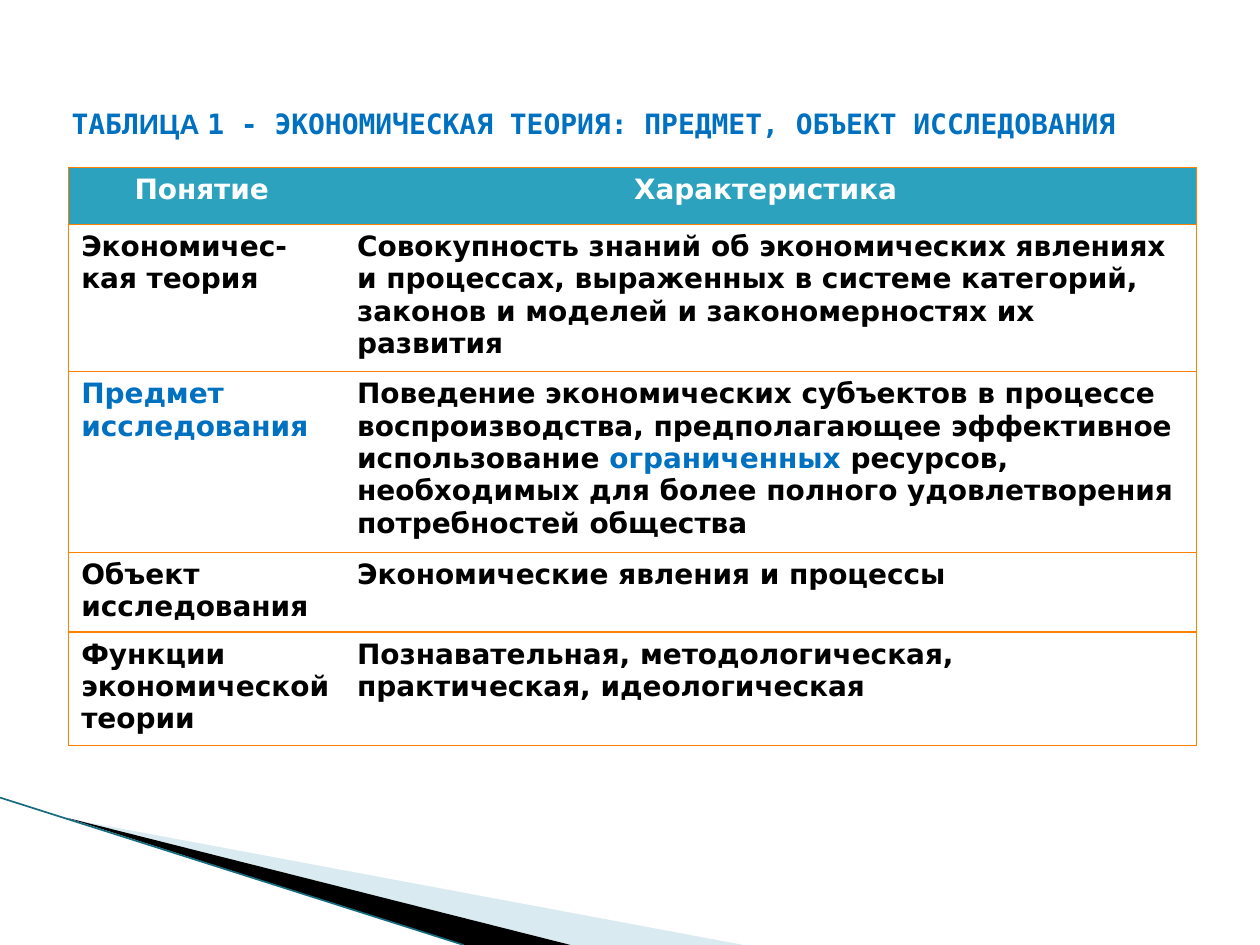
from lxml import etree
from pptx import Presentation
from pptx import util as u
from pptx.dml.color import RGBColor
from pptx.enum import shapes, text
from pptx.oxml import ns

COLORS = {
    "white": "FFFFFF", "black": "000000", "blue": "0070C0", "teal": "2DA2BF",
    "orange": "FF8000", "pale": "A0CBDC", "edge": "176B7E",
}
HEADINGS = ("Понятие ", "Характеристика ")
# Each cell is a list of (text, color) runs.
ROWS = [
    ([("Экономичес-кая теория", "black")],
     [("Совокупность знаний об экономических явлениях и процессах, выраженных "
       "в системе категорий, законов и моделей и закономерностях их развития", "black")]),
    ([("Предмет исследования", "blue")],
     [("Поведение экономических субъектов в процессе воспроизводства, "
       "предполагающее эффективное использование ", "black"),
      ("ограниченных ", "blue"),
      ("ресурсов, необходимых для более полного удовлетворения "
       "потребностей общества", "black")]),
    ([("Объект исследования", "black")],
     [("Экономические явления и процессы", "black")]),
    ([("Функции экономической теории", "black")],
     [("Познавательная, методологическая, практическая, идеологическая", "black")]),
]
COLUMN_WIDTHS = (2.19, 6.76)
ROW_HEIGHTS = (0.45, 1.17, 1.43, 0.63, 0.9)


def rgb(name):
    return RGBColor.from_string(COLORS[name])


def add_run(paragraph, content, *, color, font="DejaVu Sans", size=16, bold=True):
    run = paragraph.add_run()
    run.text = content
    run.font.name = font
    run.font.size = u.Pt(size)
    run.font.bold = bold
    run.font.color.rgb = rgb(color)


def set_border(cell, side, color=None, width=0.75):
    """Draw one cell side (L, R, T or B), or clear it when no color is given."""
    properties = cell._tc.get_or_add_tcPr()
    line = etree.SubElement(properties, ns.qn(f"a:ln{side}"), w=str(u.Pt(width)))
    if color is None:
        etree.SubElement(line, ns.qn("a:noFill"))
    else:
        fill = etree.SubElement(line, ns.qn("a:solidFill"))
        etree.SubElement(fill, ns.qn("a:srgbClr"), val=COLORS[color])


class SlideBuilder:
    def __init__(self, slide):
        self.slide = slide
        self.font = "DejaVu Sans"
        self.title_font = "DejaVu Sans Mono"

    def wedge(self, points, color, opacity=100):
        start, *others = [(u.Inches(x), u.Inches(y)) for x, y in points]
        builder = self.slide.shapes.build_freeform(*start)
        builder.add_line_segments(others, close=True)
        shape = builder.convert_to_shape()
        shape.shadow.inherit = False
        shape.fill.solid()
        shape.fill.fore_color.rgb = rgb(color)
        shape.line.fill.background()
        if opacity < 100:
            value = shape._element.spPr.find(".//" + ns.qn("a:srgbClr"))
            etree.SubElement(value, ns.qn("a:alpha"), val=str(opacity * 1000))

    def line(self, start, end, color, width):
        connector = self.slide.shapes.add_connector(
            shapes.MSO_CONNECTOR.STRAIGHT, *map(u.Inches, start + end))
        connector.line.color.rgb = rgb(color)
        connector.line.width = u.Pt(width)
        etree.SubElement(connector._element.spPr, ns.qn("a:effectLst"))

    def title(self, runs, left, top, width, height):
        box = self.slide.shapes.add_textbox(*map(u.Inches, (left, top, width, height)))
        frame = box.text_frame
        frame.word_wrap = True
        frame.vertical_anchor = text.MSO_ANCHOR.MIDDLE
        for content, font in runs:
            add_run(frame.paragraphs[0], content, color="blue", font=font)

    def cell(self, cell, runs, column, heading=False):
        paragraph = cell.text_frame.paragraphs[0]
        if heading:
            paragraph.alignment = text.PP_ALIGN.CENTER
        for content, color in runs:
            add_run(paragraph, content, color=color, font=self.font)
        set_border(cell, "L", "orange" if column == 0 else None)
        set_border(cell, "R", "orange" if column == len(COLUMN_WIDTHS) - 1 else None)
        set_border(cell, "T", "orange")
        set_border(cell, "B", "orange")
        if heading:
            cell.fill.solid()
            cell.fill.fore_color.rgb = rgb("teal")
        else:
            cell.fill.background()

    def table(self, left, top):
        rows = [[[(heading, "white")] for heading in HEADINGS], *ROWS]
        frame = self.slide.shapes.add_table(
            len(rows), len(HEADINGS), u.Inches(left), u.Inches(top),
            u.Inches(sum(COLUMN_WIDTHS)), u.Inches(sum(ROW_HEIGHTS)))
        table = frame.table
        table.horz_banding = False
        for column, width in zip(table.columns, COLUMN_WIDTHS):
            column.width = u.Inches(width)
        for row, height in zip(table.rows, ROW_HEIGHTS):
            row.height = u.Inches(height)
        for row_index, row in enumerate(rows):
            for column, runs in enumerate(row):
                self.cell(table.cell(row_index, column), runs, column,
                          heading=row_index == 0)


def main():
    presentation = Presentation()
    presentation.slide_width = u.Inches(10)
    presentation.slide_height = u.Inches(7.5)
    builder = SlideBuilder(presentation.slides.add_slide(presentation.slide_layouts[6]))

    builder.wedge([(0.55, 6.5), (5.9, 7.5), (4.53, 7.5)], "pale", opacity=40)
    builder.wedge([(0.53, 6.49), (4.53, 7.5), (3.68, 7.5)], "black")
    builder.line((0, 6.33), (3.68, 7.5), "edge", 0.95)
    mono = builder.title_font
    builder.title([
        ("ТАБЛ", mono),
        ("ИЦА ", "Arial"),
        ("1 - ЭКОНОМИЧЕСКАЯ ТЕОРИЯ: ПРЕДМЕТ, ОБЪЕКТ ИССЛЕДОВАНИЯ", mono),
    ], 0.47, 0.7, 8.95, 0.55)
    builder.table(0.545, 1.33)
    presentation.save("out.pptx")


if __name__ == "__main__":
    main()
